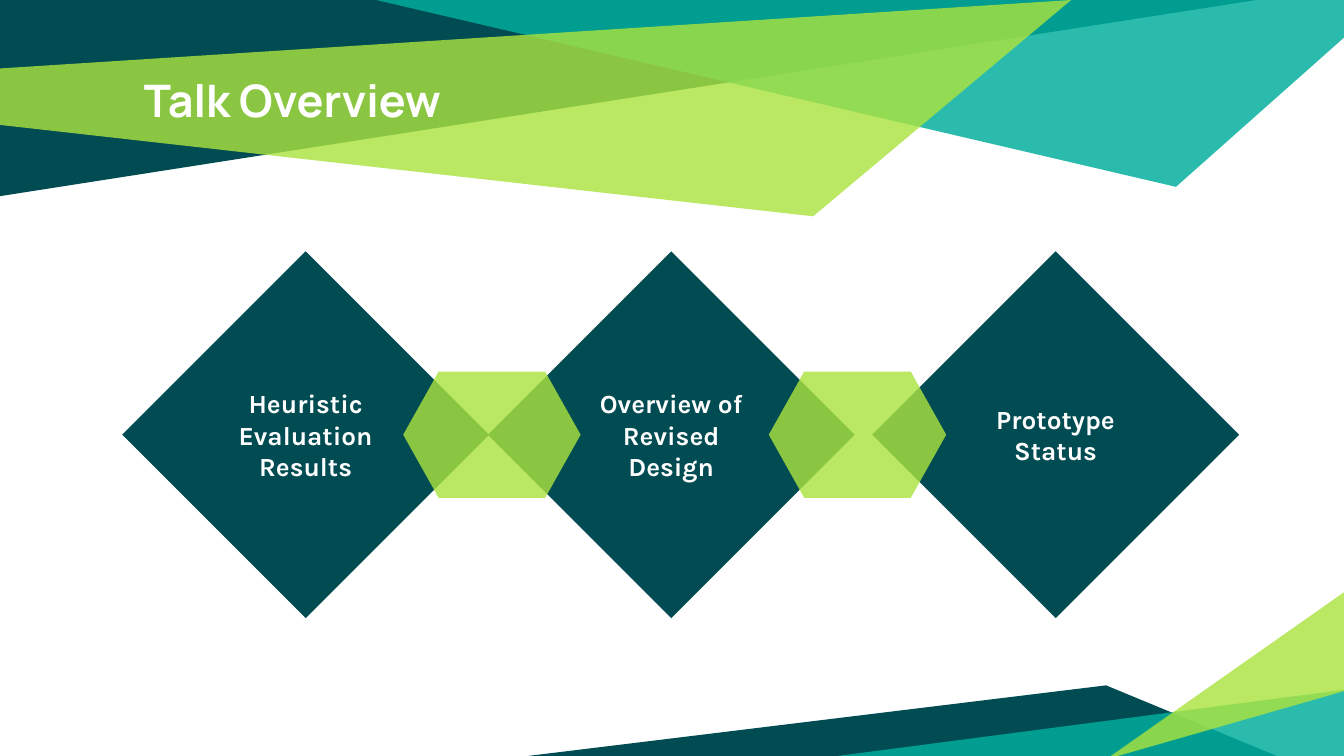
"""Build the talk overview slide: three diamonds joined by two links."""
from dataclasses import dataclass
from typing import NamedTuple

from lxml.etree import SubElement
from pptx import Presentation
from pptx.dml.color import RGBColor
from pptx.enum.shapes import MSO_SHAPE
from pptx.enum.text import MSO_ANCHOR, MSO_AUTO_SIZE, PP_ALIGN
from pptx.oxml.ns import qn
from pptx.shapes.autoshape import Shape
from pptx.slide import Slide
from pptx.text.text import TextFrame
from pptx.util import Inches, Pt


class Paint(NamedTuple):
    """A fill colour with its opacity in percent."""
    color: str
    alpha: int = 100


@dataclass(frozen=True)
class Theme:
    """Colours, fonts and type sizes."""
    dark: Paint = Paint("004C52")
    teal: Paint = Paint("00AE9D", 83)
    lime: Paint = Paint("ABE33F", 81)
    text: str = "FFFFFF"
    head: str = "Manrope"
    body: str = "Karla"
    large: int = 24
    small: int = 14


class Shard(NamedTuple):
    """A filled polygon with its corners in inches."""
    paint: Paint
    points: tuple[tuple[float, float], ...]


class Block(NamedTuple):
    """A preset shape with its left edge and label."""
    left: float
    label: str = ""


THEME = Theme()
WIDTH = 10
HEIGHT = WIDTH * 9 / 16
SIDE = 2.73
TOP = 1.87
LINK_W, LINK_H = 1.32, 0.94
SHARDS = (
    Shard(THEME.dark, ((0, 0), (0, 1.46), (9.35, 0))),
    Shard(THEME.teal, ((2.8, 0), (8.75, 1.39), (10, 0.28), (10, 0))),
    Shard(THEME.lime, ((-0.01, 0.51), (0, 0.93), (6.05, 1.61), (7.97, 0))),
    Shard(THEME.dark, ((3.93, HEIGHT), (9.5, HEIGHT), (8.23, 5.1))),
    Shard(THEME.teal, ((10.02, 5.13), (10.02, 5.65), (6.04, 5.65))),
    Shard(THEME.lime, ((10.01, 5.14), (10.01, 4.4), (8.23, 5.65))),
)
TOPICS = (
    Block(0.91, "Heuristic Evaluation Results"),
    Block(3.63, "Overview of Revised Design"),
    Block(6.49, "Prototype Status"),
)
LINKS = (Block(3), Block(5.72))


def coat(shape: Shape, paint: Paint) -> None:
    """Fill a shape and remove its line and shadow."""
    shape.shadow.inherit = False
    shape.line.fill.background()
    shape.fill.solid()
    shape.fill.fore_color.rgb = RGBColor.from_string(paint.color)
    if paint.alpha < 100:
        tint = shape.fill._xPr.find(qn("a:solidFill"))[0]
        SubElement(tint, qn("a:alpha"), val=str(paint.alpha * 1000))


def write(frame: TextFrame, text: str, face: str, size: int,
          align: PP_ALIGN, anchor: MSO_ANCHOR) -> None:
    """Set the text of a frame in bold type."""
    frame.text = text
    frame.word_wrap = True
    frame.auto_size = MSO_AUTO_SIZE.NONE
    frame.vertical_anchor = anchor
    frame.margin_left = frame.margin_right = Inches(0.1)
    frame.margin_top = frame.margin_bottom = Inches(0.1)
    line = frame.paragraphs[0]
    line.alignment = align
    line.font.name = face
    line.font.size = Pt(size)
    line.font.bold = True
    line.font.color.rgb = RGBColor.from_string(THEME.text)


def draw_shard(slide: Slide, shard: Shard) -> None:
    """Draw one polygon."""
    first, *rest = [(Inches(x), Inches(y)) for x, y in shard.points]
    pen = slide.shapes.build_freeform(*first)
    pen.add_line_segments(rest, close=True)
    coat(pen.convert_to_shape(), shard.paint)


def draw_title(slide: Slide, text: str) -> None:
    """Place the title in front of the shards."""
    title = slide.shapes.title
    title.left, title.top = Inches(0.97), Inches(0.44)
    title.width, title.height = Inches(8.06), Inches(0.94)
    write(title.text_frame, text, THEME.head, THEME.large,
          PP_ALIGN.LEFT, MSO_ANCHOR.TOP)
    slide.shapes._spTree.append(title._element)


def draw_topic(slide: Slide, block: Block) -> None:
    """Draw a diamond with its label."""
    shape = slide.shapes.add_shape(
        MSO_SHAPE.DIAMOND, Inches(block.left), Inches(TOP),
        Inches(SIDE), Inches(SIDE))
    coat(shape, THEME.dark)
    write(shape.text_frame, block.label, THEME.body, THEME.small,
          PP_ALIGN.CENTER, MSO_ANCHOR.MIDDLE)


def draw_link(slide: Slide, block: Block) -> None:
    """Draw a link centred on the height of the diamonds."""
    shape = slide.shapes.add_shape(
        MSO_SHAPE.FLOWCHART_PREPARATION, Inches(block.left),
        Inches(TOP + (SIDE - LINK_H) / 2), Inches(LINK_W), Inches(LINK_H))
    coat(shape, THEME.lime)


def main() -> None:
    """Build and save the deck."""
    deck = Presentation()
    deck.slide_width, deck.slide_height = Inches(WIDTH), Inches(HEIGHT)
    slide = deck.slides.add_slide(deck.slide_layouts[5])
    for shard in SHARDS:
        draw_shard(slide, shard)
    draw_title(slide, "Talk Overview")
    for topic in TOPICS:
        draw_topic(slide, topic)
    for link in LINKS:
        draw_link(slide, link)
    deck.save("out.pptx")


if __name__ == "__main__":
    main()
